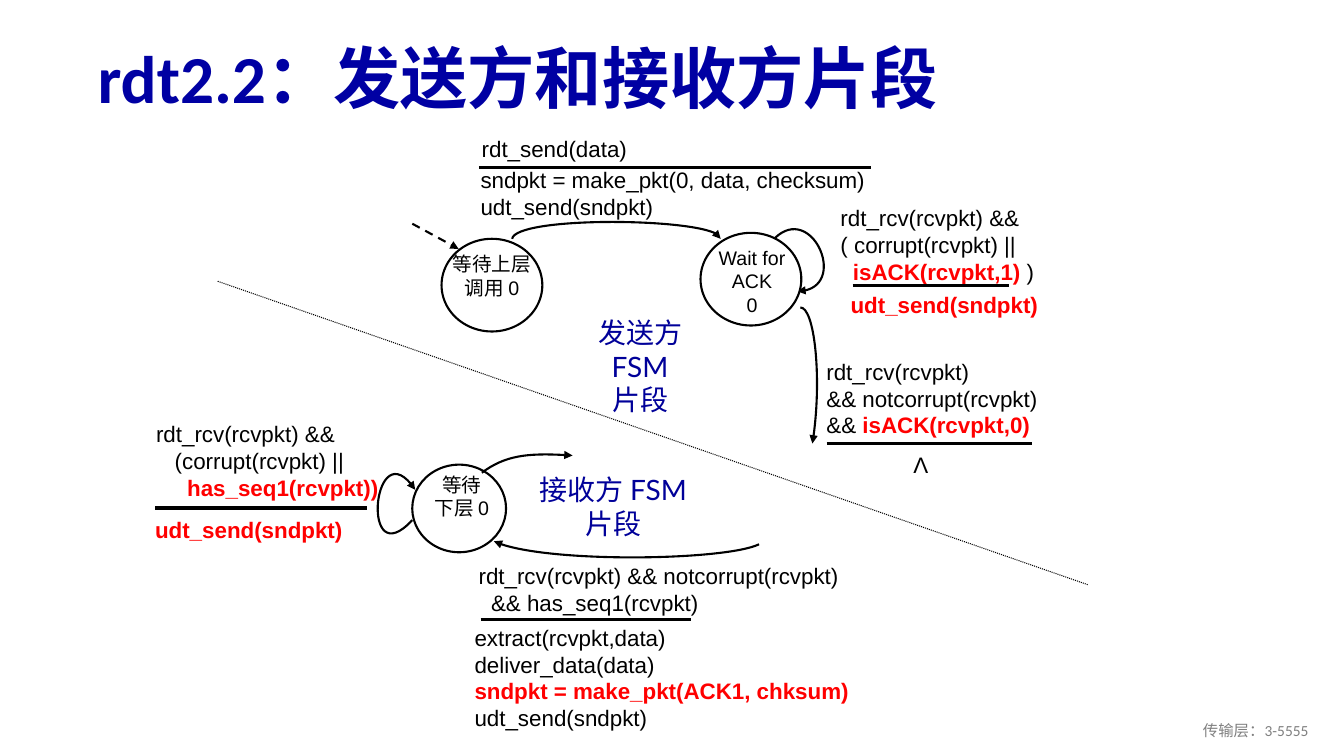
from lxml import etree
from pptx import Presentation
from pptx.dml.color import RGBColor
from pptx.enum.dml import MSO_LINE
from pptx.enum.shapes import MSO_CONNECTOR, MSO_SHAPE
from pptx.enum.text import MSO_ANCHOR, MSO_AUTO_SIZE, PP_ALIGN
from pptx.oxml.ns import qn
from pptx.util import Pt

LEFT, CENTER, RIGHT = PP_ALIGN.LEFT, PP_ALIGN.CENTER, PP_ALIGN.RIGHT
TOP, MIDDLE = MSO_ANCHOR.TOP, MSO_ANCHOR.MIDDLE
DASH, DOT = MSO_LINE.DASH, MSO_LINE.ROUND_DOT
STRAIGHT, OVAL = MSO_CONNECTOR.STRAIGHT, MSO_SHAPE.OVAL
TITLE_ONLY = 5
COLORS = {"title": "0000A3", "heading": "000099", "text": "000000",
          "change": "FF0000", "state": "FFFFFF", "footer": "808080"}


def rgb(name):
    return RGBColor.from_string(COLORS[name])


def changed(before, text, after="", indent=0):
    """A line whose middle part is marked as new in rdt2.2."""
    return indent, [(before, "text"), (text, "change"), (after, "text")]


def write(frame, lines, size=16, font="Arial", color="text", bold=False,
          align=LEFT, anchor=TOP, spacing=None):
    """Lines are strings or (indent, [(text, color), ...])."""
    frame.word_wrap = True
    frame.auto_size = MSO_AUTO_SIZE.NONE
    frame.vertical_anchor = anchor
    for i, line in enumerate(lines):
        indent, runs = (0, [(line, color)]) if isinstance(line, str) else line
        paragraph = frame.add_paragraph() if i else frame.paragraphs[0]
        paragraph.alignment = align
        if spacing:
            paragraph.line_spacing = spacing
        if indent:
            paragraph._p.get_or_add_pPr().set("marL", str(Pt(indent)))
        for text, run_color in runs:
            if text:
                run = paragraph.add_run()
                run.text = text
                run.font.name, run.font.size = font, Pt(size)
                run.font.bold = bold or run_color == "change"
                run.font.color.rgb = rgb(run_color)


class FsmSlide:
    def __init__(self, deck):
        self.slide = deck.slides.add_slide(deck.slide_layouts[TITLE_ONLY])
        self.shapes = self.slide.shapes
        self.stroke = 1.5

    def title(self, text, x, y, w, h):
        heading = self.shapes.title
        heading.left, heading.top, heading.width, heading.height = map(Pt, (x, y, w, h))
        write(heading.text_frame, [text], size=48, font="Calibri", color="title",
              bold=True, anchor=MIDDLE, spacing=0.9)

    def text(self, lines, x, y, w, h, **style):
        box = self.shapes.add_textbox(*map(Pt, (x, y, w, h)))
        write(box.text_frame, lines, **style)

    def outline(self, shape, width, dash=None, arrow=None):
        shape.line.color.rgb = rgb("text")
        shape.line.width = Pt(width)
        if dash:
            shape.line.dash_style = dash
        if arrow:
            ln = shape.element.spPr.get_or_add_ln()
            etree.SubElement(ln, qn(f"a:{arrow}End")).set("type", "triangle")

    def state(self, x, y, w, h):
        circle = self.shapes.add_shape(OVAL, *map(Pt, (x, y, w, h)))
        circle.shadow.inherit = False
        circle.fill.solid()
        circle.fill.fore_color.rgb = rgb("state")
        self.outline(circle, self.stroke)

    def line(self, x1, y1, x2, y2, width=2.25, **style):
        rule = self.shapes.add_connector(STRAIGHT, *map(Pt, (x1, y1, x2, y2)))
        self.outline(rule, width, **style)
        etree.SubElement(rule.element.spPr, qn("a:effectLst"))

    def transition(self, start, *controls, arrow="tail"):
        """One cubic Bézier curve with an arrowhead."""
        builder = self.shapes.build_freeform(*map(Pt, start))
        builder.add_line_segments([tuple(map(Pt, p)) for p in controls], close=False)
        curve = builder.convert_to_shape()
        segments = list(curve.element.iter(qn("a:lnTo")))
        outline = segments[0].getparent()
        cubic = etree.SubElement(outline, qn("a:cubicBezTo"))
        for segment in segments:
            cubic.append(segment[0])
            outline.remove(segment)
        curve.shadow.inherit = False
        curve.fill.background()
        self.outline(curve, self.stroke, arrow=arrow)


def main():
    deck = Presentation()
    deck.slide_width, deck.slide_height = Pt(960), Pt(540)
    fsm = FsmSlide(deck)
    state_style = {"size": 14, "align": CENTER}
    heading_style = {"size": 20, "font": "Lato", "color": "heading", "align": CENTER}
    fsm.title("rdt2.2：发送方和接收方片段", 62.6, 23, 874, 70.6)

    # Sender: wait for call 0
    fsm.state(315.4, 170.6, 72, 66.2)
    fsm.text(["等待上层调用 0"], 309.6, 176.4, 83.5, 48.2, **state_style)
    fsm.line(294.5, 159.8, 327.6, 177.8, width=1.5, dash=DASH, arrow="tail")

    # Sender: data sent
    fsm.text(["sndpkt = make_pkt(0, data, checksum)", "udt_send(sndpkt)"],
             336.2, 115.2, 293, 31.7)
    fsm.text(["rdt_send(data)"], 337, 92.9, 136, 22.3)
    fsm.line(342, 119.5, 622, 119.5)
    fsm.transition((365.8, 170.6), (368.6, 154.8), (514.8, 155.5), (514.8, 170.6))

    # Sender: corrupt or duplicate ACK
    fsm.transition((553.7, 169.9), (579.6, 145.4), (607.7, 207.4), (569.5, 208.1))
    fsm.text(["udt_send(sndpkt)"], 600.5, 204.5, 167, 31.7, color="change", bold=True)
    fsm.text(["rdt_rcv(rcvpkt) &&", "( corrupt(rcvpkt) ||",
              changed("", "isACK(rcvpkt,1)", " )", indent=8.9)],
             593.3, 142.6, 213.8, 44.6)
    fsm.line(609.1, 203.8, 720.7, 203.8)

    # Sender: correct ACK
    fsm.transition((580.3, 316.8), (587.5, 272.9), (581.8, 219.6), (571.7, 219.6),
                   arrow="head")
    fsm.text(["rdt_rcv(rcvpkt)", "&& notcorrupt(rcvpkt)",
              changed("&& ", "isACK(rcvpkt,0)")], 583.2, 252, 190, 44.6)
    fsm.line(590.4, 316.8, 737.3, 316.8)
    fsm.text(["Λ"], 643, 319, 29.5, 26.6, align=CENTER)

    # Sender: wait for ACK
    fsm.state(500.4, 166.3, 72, 66.2)
    fsm.text(["Wait for ACK", "0"], 495.4, 172.1, 83.5, 48.2, **state_style)
    fsm.text(["发送方 FSM", "片段"], 398.9, 221.8, 116.6, 55.4, **heading_style)

    # Divider between sender and receiver
    fsm.line(155.5, 200.9, 776.9, 417.6, width=0.75, dash=DOT)

    # Receiver: correct packet
    fsm.text(["rdt_rcv(rcvpkt) && notcorrupt(rcvpkt)",
              (8.9, [("&& has_seq1(rcvpkt)", "text")])], 334.8, 398.2, 310.3, 44.6)
    fsm.text(["extract(rcvpkt,data)", "deliver_data(data)",
              changed("", "sndpkt = make_pkt(ACK1, chksum)"), "udt_send(sndpkt)"],
             331.9, 442.1, 329, 54.7)

    # Receiver: wait for 0 from below
    fsm.state(294.5, 331.9, 67, 62.6)
    fsm.text(["等待", "下层 0"], 298.1, 334.1, 63.4, 48.2, **state_style)
    fsm.transition((344.2, 337.7), (360.7, 325.4), (378.7, 323.3), (409, 325.4))
    fsm.transition((352.8, 386.6), (385.9, 402.5), (518.4, 400.3), (542.2, 388.8),
                   arrow="head")
    fsm.line(343.4, 442.8, 493.9, 442.8)

    # Receiver: corrupt or duplicate packet
    fsm.transition((294.5, 371.5), (257.8, 411.1), (266.4, 304.6), (296.6, 349.9))
    fsm.line(110.9, 362.9, 262.1, 362.9)
    fsm.text(["rdt_rcv(rcvpkt) &&", (13.3, [("(corrupt(rcvpkt) ||", "text")]),
              changed("", "has_seq1(rcvpkt))", indent=22.2)],
             104.4, 296.6, 185.8, 50.4)
    fsm.text(["udt_send(sndpkt)"], 103.7, 365, 160.6, 32.4, color="change", bold=True)
    fsm.text(["接收方 FSM", "片段"], 374.4, 334.1, 127.4, 55.4, **heading_style)

    # Footer
    fsm.text(["传输层：3-5555"], 725.8, 507.6, 216, 28.8, size=11, font="Calibri",
             color="footer", align=RIGHT, anchor=MIDDLE)
    deck.save("out.pptx")


if __name__ == "__main__":
    main()
